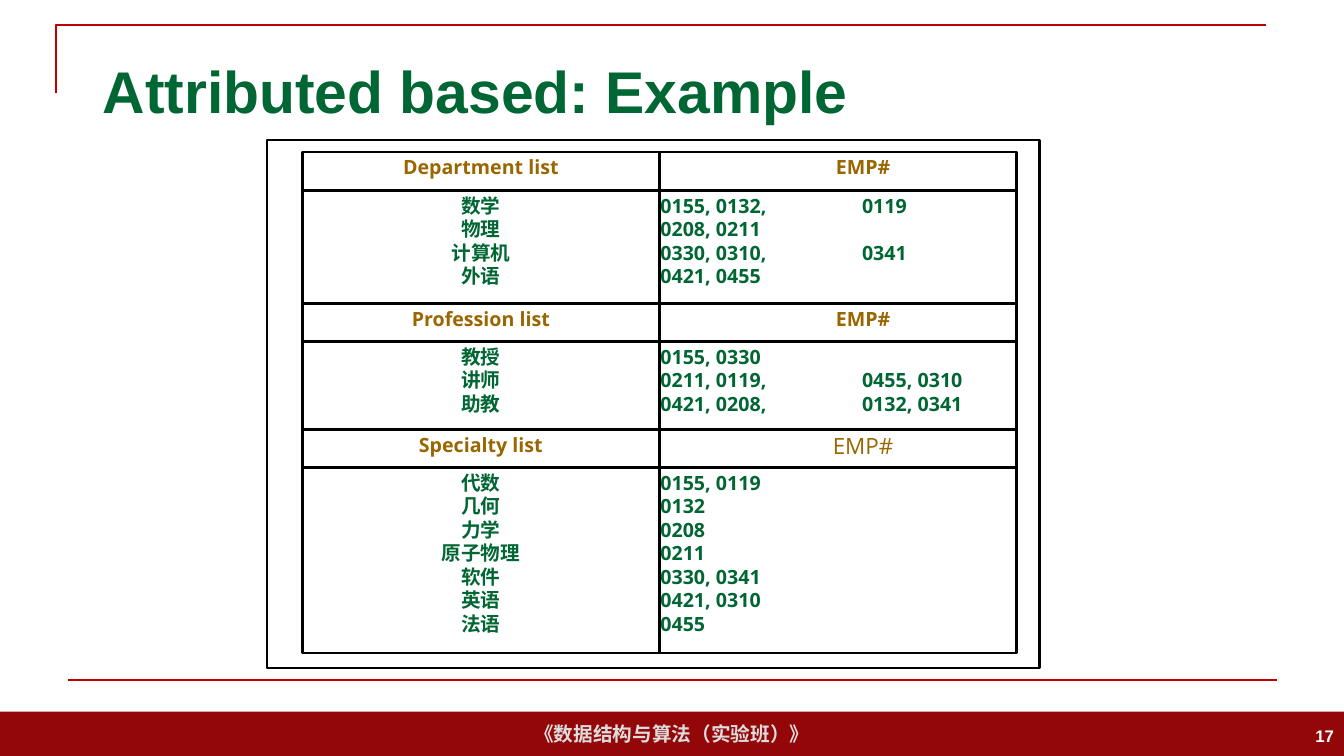
from lxml.etree import SubElement
from pptx import Presentation
from pptx.dml.color import RGBColor
from pptx.enum.shapes import MSO_CONNECTOR, MSO_SHAPE
from pptx.enum.text import MSO_ANCHOR, PP_ALIGN
from pptx.oxml.ns import qn
from pptx.util import Inches, Pt

COLORS = {
    "green": "006633", "gold": "996600", "red": "C00000", "maroon": "940709",
    "silver": "DDDDDD", "white": "FFFFFF", "black": "000000",
}

INDEX_LISTS = [
    ("Department list", 1.12, 14, [
        ("数学", "0155, 0132,\t0119"),
        ("物理", "0208, 0211"),
        ("计算机", "0330, 0310,\t0341"),
        ("外语", "0421, 0455"),
    ]),
    ("Profession list", 0.87, 14, [
        ("教授", "0155, 0330"),
        ("讲师", "0211, 0119,\t0455, 0310"),
        ("助教", "0421, 0208,\t0132, 0341"),
    ]),
    ("Specialty list", 1.84, 16, [
        ("代数", "0155, 0119"),
        ("几何", "0132"),
        ("力学", "0208"),
        ("原子物理", "0211"),
        ("软件", "0330, 0341"),
        ("英语", "0421, 0310"),
        ("法语", "0455"),
    ]),
]
HEADER_HEIGHT = 0.38


def color(name):
    return RGBColor.from_string(COLORS[name])


def write_text(frame, text, size=14, font="Open Sans", fill="green", bold=True,
               align=PP_ALIGN.LEFT, spacing=None, tab=None):
    for index, line in enumerate(text.split("\n")):
        paragraph = frame.paragraphs[0] if index == 0 else frame.add_paragraph()
        if tab:
            tabs = SubElement(paragraph._p.get_or_add_pPr(), qn("a:tabLst"))
            SubElement(tabs, qn("a:tab"), pos=str(Inches(tab)), algn="l")
        paragraph.alignment = align
        if spacing:
            paragraph.line_spacing = Pt(spacing)
        run = paragraph.add_run()
        run.text = line
        run.font.size = Pt(size)
        run.font.name = font
        run.font.bold = bold
        run.font.color.rgb = color(fill)


class SlideBuilder:
    line_width = 1.5
    border_width = 1.75

    def __init__(self, presentation):
        self.slide = presentation.slides.add_slide(presentation.slide_layouts[6])
        self.shapes = self.slide.shapes

    def rectangle(self, left, top, width, height, fill=None, line=None):
        shape = self.shapes.add_shape(MSO_SHAPE.RECTANGLE, Inches(left), Inches(top),
                                      Inches(width), Inches(height))
        shape.shadow.inherit = False
        if fill:
            shape.fill.solid()
            shape.fill.fore_color.rgb = color(fill)
        else:
            shape.fill.background()
        if line:
            shape.line.color.rgb = color(line)
            shape.line.width = Pt(self.border_width)
        else:
            shape.line.fill.background()
        return shape

    def text(self, text, left, top, width, height, **style):
        shape = self.shapes.add_textbox(Inches(left), Inches(top),
                                        Inches(width), Inches(height))
        shape.text_frame.word_wrap = True
        shape.text_frame.vertical_anchor = MSO_ANCHOR.MIDDLE
        write_text(shape.text_frame, text, **style)

    def corner(self, points):
        points = [(Inches(x), Inches(y)) for x, y in points]
        builder = self.shapes.build_freeform(*points[0])
        builder.add_line_segments(points[1:], close=False)
        shape = builder.convert_to_shape()
        shape.shadow.inherit = False
        shape.fill.background()
        shape.line.color.rgb = color("red")
        shape.line.width = Pt(self.line_width)

    def rule(self, left, right, top):
        connector = self.shapes.add_connector(MSO_CONNECTOR.STRAIGHT, Inches(left),
                                              Inches(top), Inches(right), Inches(top))
        connector.line.color.rgb = color("red")
        connector.line.width = Pt(self.line_width)
        SubElement(connector._element.spPr, qn("a:effectLst"))

    def cell(self, text, left, top, width, height, indent=0.01, size=14, **style):
        frame = self.rectangle(left, top, width, height, "white", "black").text_frame
        frame.word_wrap = True
        frame.vertical_anchor = MSO_ANCHOR.TOP
        frame.margin_left = Inches(indent)
        frame.margin_right = frame.margin_bottom = Inches(0.01)
        frame.margin_top = Inches(0.03)
        write_text(frame, text, size=size, spacing=1.2 * size, **style)

    def index_list(self, title, entries, header_size, left, top, width, body_height):
        keys, numbers = ("\n".join(column) for column in zip(*entries))
        right = left + width
        body_top = top + HEADER_HEIGHT
        self.cell(title, left, top, width, HEADER_HEIGHT, fill="gold",
                  align=PP_ALIGN.CENTER)
        self.cell("EMP#", right, top, width, HEADER_HEIGHT, indent=0.51, fill="gold",
                  size=header_size, bold=header_size == 14, align=PP_ALIGN.CENTER)
        self.cell(keys, left, body_top, width, body_height, align=PP_ALIGN.CENTER)
        self.cell(numbers, right, body_top, width, body_height,
                  align=PP_ALIGN.JUSTIFY, tab=2)


def main():
    presentation = Presentation()
    presentation.slide_width = Inches(13.33)
    presentation.slide_height = Inches(7.5)
    builder = SlideBuilder(presentation)

    footer = builder.rectangle(0, 7.06, 13.33, 0.44, fill="maroon")
    footer.text_frame.vertical_anchor = MSO_ANCHOR.MIDDLE
    write_text(footer.text_frame, "《数据结构与算法（实验班）》", font="Arial",
               fill="silver", align=PP_ALIGN.CENTER)
    builder.corner([(0.56, 0.92), (0.56, 0.25), (12.56, 0.25)])
    builder.rule(0.67, 12.67, 6.75)
    builder.text("Attributed based: Example", 0.92, 0.4, 11.5, 0.99, size=42, font="Arial")
    builder.text("17", 10.33, 7.1, 3, 0.4, size=12, font="Arial", fill="white",
                 align=PP_ALIGN.RIGHT)
    builder.rectangle(2.65, 1.39, 7.66, 5.24, line="black")

    top = 1.51
    for title, body_height, header_size, entries in INDEX_LISTS:
        builder.index_list(title, entries, header_size, 3, top, 3.54, body_height)
        top += HEADER_HEIGHT + body_height

    presentation.save("out.pptx")


if __name__ == "__main__":
    main()
